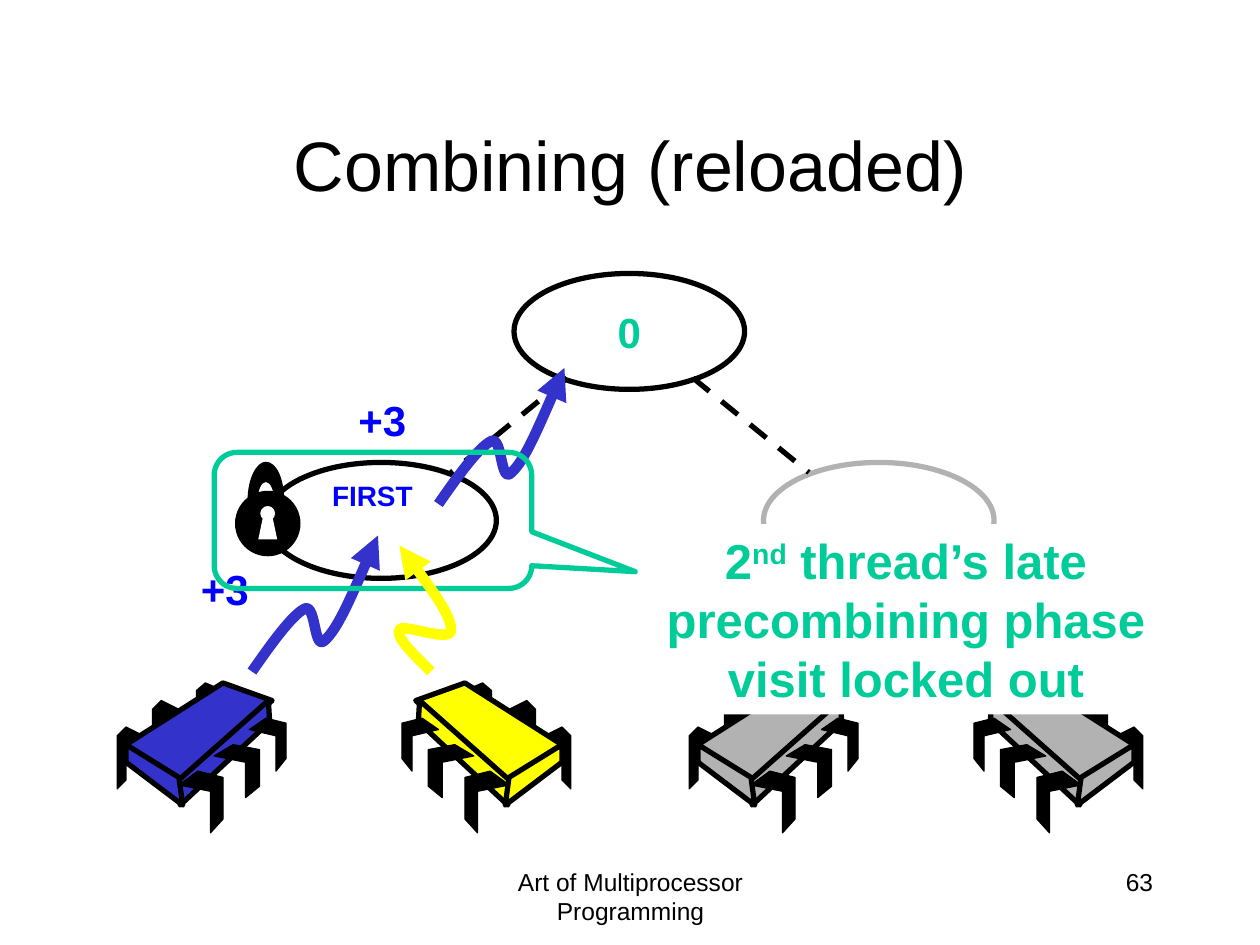
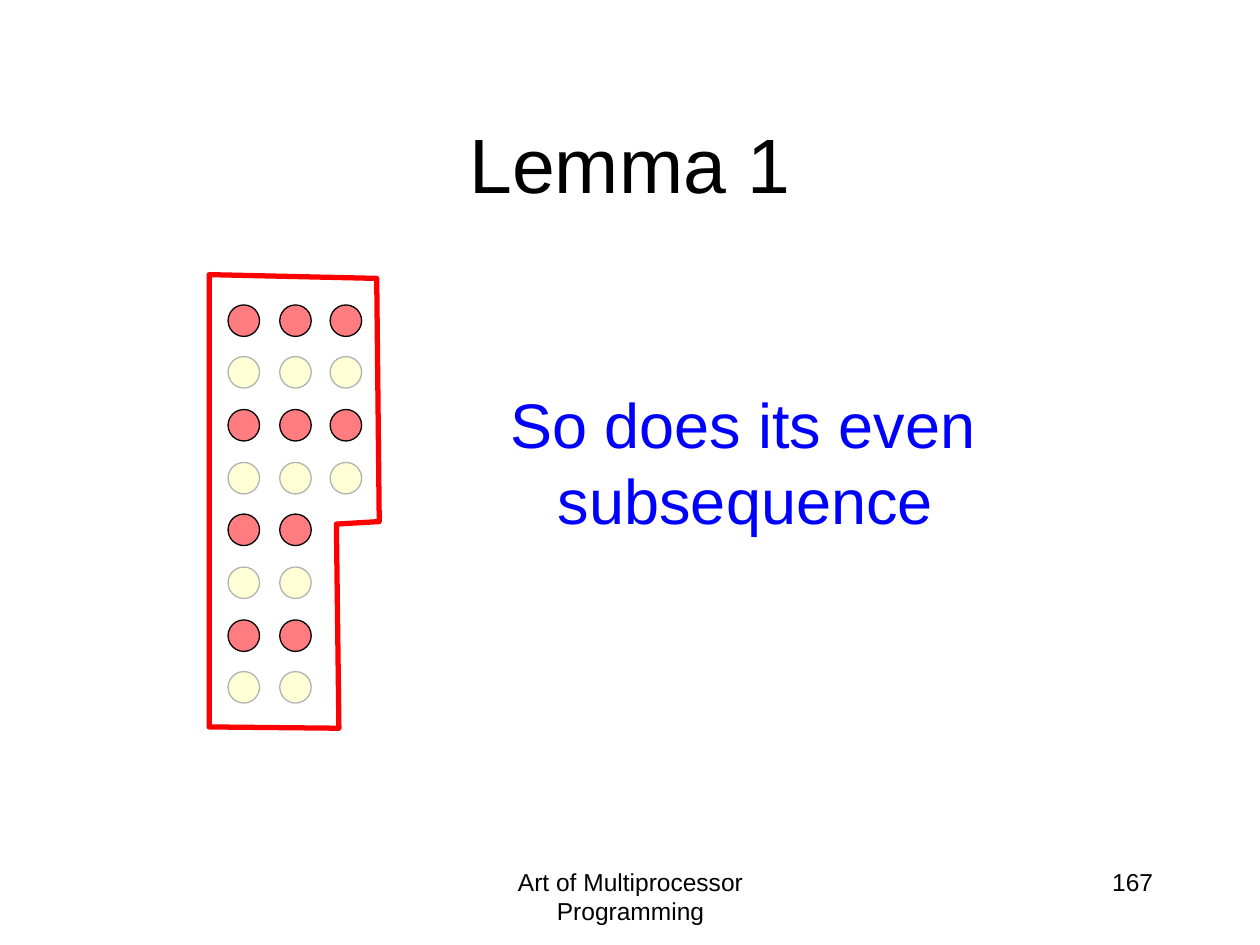
from pptx import Presentation
from pptx.dml.color import RGBColor
from pptx.enum.dml import MSO_LINE
from pptx.enum.shapes import MSO_CONNECTOR, MSO_SHAPE
from pptx.enum.text import MSO_ANCHOR, PP_ALIGN
from pptx.oxml.ns import qn
from pptx.oxml.xmlchemy import OxmlElement
from pptx.util import Pt

PX = 9144
FONT = "Arial"
BLACK, WHITE, GRAY = "000000", "FFFFFF", "B2B2B2"
BLUE, INDIGO, TEAL, YELLOW = "0000FF", "3333CC", "00CC99", "FFFF00"
RED, PINK, CREAM = "FF0000", "FF7C80", "FFFF99"


def paint(shape, fill, line, width=3):
    shape.shadow.inherit = False
    for target, color in ((shape.fill, fill), (shape.line.fill, line)):
        if color:
            target.solid()
            target.fore_color.rgb = RGBColor.from_string(color)
        else:
            target.background()
    if line:
        shape.line.width = Pt(width)


def write(box, pieces, size, color=BLACK, bold=False, align=PP_ALIGN.CENTER,
          anchor=MSO_ANCHOR.TOP, wrap=True):
    frame = box.text_frame
    frame.word_wrap = wrap
    frame.vertical_anchor = anchor
    para = frame.paragraphs[0]
    para.alignment = align
    for piece in pieces:
        span = para.add_run()
        span.text = piece
        span.font.name = FONT
        span.font.size = Pt(size)
        span.font.bold = bold
        span.font.color.rgb = RGBColor.from_string(color)
    return para


deck = Presentation()
deck.slide_width = 1000 * PX
deck.slide_height = 750 * PX

pages = []
for heading, size, number in (("Combining (reloaded)", 40, "63"), ("Lemma 1", 44, "167")):
    page = deck.slides.add_slide(deck.slide_layouts[5])
    title = page.shapes.title
    title.left, title.top, title.width, title.height = 75 * PX, 67 * PX, 850 * PX, 125 * PX
    write(title, [heading], size, anchor=MSO_ANCHOR.MIDDLE)
    footer = page.shapes.add_textbox(342 * PX, 683 * PX, 317 * PX, 50 * PX)
    write(footer, ["Art of Multiprocessor Programming"], 14)
    page_number = page.shapes.add_textbox(717 * PX, 683 * PX, 208 * PX, 50 * PX)
    write(page_number, [number], 14, align=PP_ALIGN.RIGHT)
    pages.append(page)
tree_page, lemma_page = pages

shapes = tree_page.shapes
for left, top, fill, line, label in (
    (408, 217, None, BLACK, "0"),
    (606, 367, WHITE, GRAY, ""),
    (211, 367, None, BLACK, ""),
):
    node = shapes.add_shape(MSO_SHAPE.OVAL, left * PX, top * PX, 183 * PX, 92 * PX)
    paint(node, fill, line)
    if label:
        write(node, [label], 24, TEAL, True, anchor=MSO_ANCHOR.MIDDLE, wrap=False)

for start, end in ((450, 358), (550, 642)):
    branch = shapes.add_connector(MSO_CONNECTOR.STRAIGHT, start * PX, 300 * PX, end * PX, 375 * PX)
    branch.line.color.rgb = RGBColor.from_string(BLACK)
    branch.line.width = Pt(3)
    branch.line.dash_style = MSO_LINE.DASH
    branch._element.spPr.append(OxmlElement("a:effectLst"))

back_legs = [
    [(114, 584), (100, 577), (93, 584), (93, 626), (100, 619), (100, 591), (114, 598)],
    [(142, 563), (128, 556), (121, 563), (121, 605), (128, 598), (128, 570), (142, 577)],
    [(177, 548), (163, 542), (156, 548), (156, 584), (163, 578), (163, 554), (177, 560)],
]
body_faces = [
    [(177, 542), (100, 591), (143, 620), (216, 556)],
    [(213, 556), (142, 619), (143, 639), (214, 573)],
    [(100, 591), (100, 605), (145, 639), (142, 617)],
]
front_legs = [
    [(157, 612), (142, 623), (167, 628), (167, 661), (177, 650), (177, 617)],
    [(185, 591), (170, 600), (195, 605), (195, 633), (206, 624), (206, 595)],
    [(211, 570), (198, 579), (219, 584), (219, 612), (227, 602), (227, 574)],
]
for direction, shift, color in (
    (1, 0, INDIGO), (-1, 546, YELLOW), (1, 454, GRAY), (-1, 1000, GRAY),
):
    chip = shapes.add_group_shape()
    for outlines, fill, width in (
        (back_legs, BLACK, 0.75), (body_faces, color, 3), (front_legs, BLACK, 0.75),
    ):
        for outline in outlines:
            points = [(shift + direction * x, y) for x, y in outline]
            builder = chip.shapes.build_freeform(*points[0], scale=PX)
            builder.add_line_segments(points[1:])
            paint(builder.convert_to_shape(), fill, BLACK, width)

lock = shapes.add_group_shape()
for left, top, side, fill in ((187, 390, 51, BLACK), (206, 401, 13, WHITE)):
    disc = lock.shapes.add_shape(MSO_SHAPE.OVAL, left * PX, top * PX, side * PX, side * PX)
    paint(disc, fill, BLACK, 0.75)
builder = lock.shapes.build_freeform(205, 428, scale=PX)
builder.add_line_segments([(209, 409), (216, 409), (220, 428)])
paint(builder.convert_to_shape(), WHITE, None)

shackle = [(204, 397), (204, 389), (207, 382), (211, 382), (215, 382), (218, 389), (218, 397),
           (218, 397), (225, 397), (225, 397), (225, 380), (219, 367), (211, 367),
           (204, 367), (197, 380), (197, 397)]
wave = [(0, 108), (16, 85), (32, 63), (42, 58), (51, 54), (49, 93), (58, 83),
        (68, 74), (84, 37), (100, 0)]
late_wave = [(342, 533), (328, 519), (314, 506), (317, 500), (319, 494), (358, 511), (358, 500),
             (358, 489), (338, 461), (317, 433)]
for parent, points, fill, line, width in (
    (lock.shapes, shackle, BLACK, BLACK, 0.75),
    (shapes, [(200 + x, 425 + y) for x, y in wave], None, INDIGO, 6),
    (shapes, [(348 + x, 292 + y) for x, y in wave], None, INDIGO, 6),
    (shapes, late_wave, None, YELLOW, 6),
):
    builder = parent.build_freeform(*points[0], scale=PX)
    builder.add_line_segments(points[1:], close=points is shackle)
    curve = builder.convert_to_shape()
    paint(curve, fill, line, width)
    outline = curve._element.xpath(".//a:path")[0]
    segments = outline.findall(qn("a:lnTo"))
    for first in range(0, len(segments), 3):
        bezier = OxmlElement("a:cubicBezTo")
        segments[first].addprevious(bezier)
        for segment in segments[first:first + 3]:
            bezier.append(segment[0])
            outline.remove(segment)
    if points is not shackle:
        arrowhead = OxmlElement("a:tailEnd")
        arrowhead.set("type", "triangle")
        curve.line._get_or_add_ln().append(arrowhead)
late_arrow = curve

for left, top, width, height, label, size in (
    (148, 442, 61, 50, "+3", 24),
    (273, 308, 61, 50, "+3", 24),
    (253, 375, 85, 37, "FIRST", 16),
):
    box = shapes.add_textbox(left * PX, top * PX, width * PX, height * PX)
    write(box, [label], size, BLUE, True, wrap=False)

remark = shapes.add_textbox(513 * PX, 416 * PX, 412 * PX, 151 * PX)
paint(remark, WHITE, None)
para = write(remark, ["2", "nd", " thread’s late precombining phase visit locked out"], 28, TEAL, True)
para.runs[1].font._element.set("baseline", "30000")

callout = shapes.add_shape(MSO_SHAPE.ROUNDED_RECTANGULAR_CALLOUT, 170 * PX, 359 * PX, 252 * PX, 108 * PX)
for index, value in enumerate((0.826, 0.377, 0.167)):
    callout.adjustments[index] = value
paint(callout, None, TEAL)
callout._element.addnext(late_arrow._element)

shapes = lemma_page.shapes
claim = shapes.add_textbox(395 * PX, 301 * PX, 426 * PX, 131 * PX)
para = write(claim, ["So does its even subsequence"], 36, BLUE, align=PP_ALIGN.LEFT)
indent = para._p.get_or_add_pPr()
indent.set("marL", str(38 * PX))
indent.set("indent", str(-38 * PX))

for left, rows in ((181, 8), (222, 8), (262, 4)):
    for row in range(rows):
        top = 242 + row * 125 // 3
        dot = shapes.add_shape(MSO_SHAPE.OVAL, left * PX, top * PX, 25 * PX, 25 * PX)
        if row % 2 == 0:
            paint(dot, PINK, BLACK, 0.75)
        else:
            paint(dot, CREAM, GRAY, 0.75)
            alpha = OxmlElement("a:alpha")
            alpha.set("val", "40000")
            dot._element.spPr.find(qn("a:solidFill"))[0].append(alpha)

builder = shapes.build_freeform(166, 218, scale=PX)
builder.add_line_segments([(166, 577), (269, 578), (267, 416), (301, 414), (299, 221)])
paint(builder.convert_to_shape(), None, RED)

deck.save("out.pptx")
